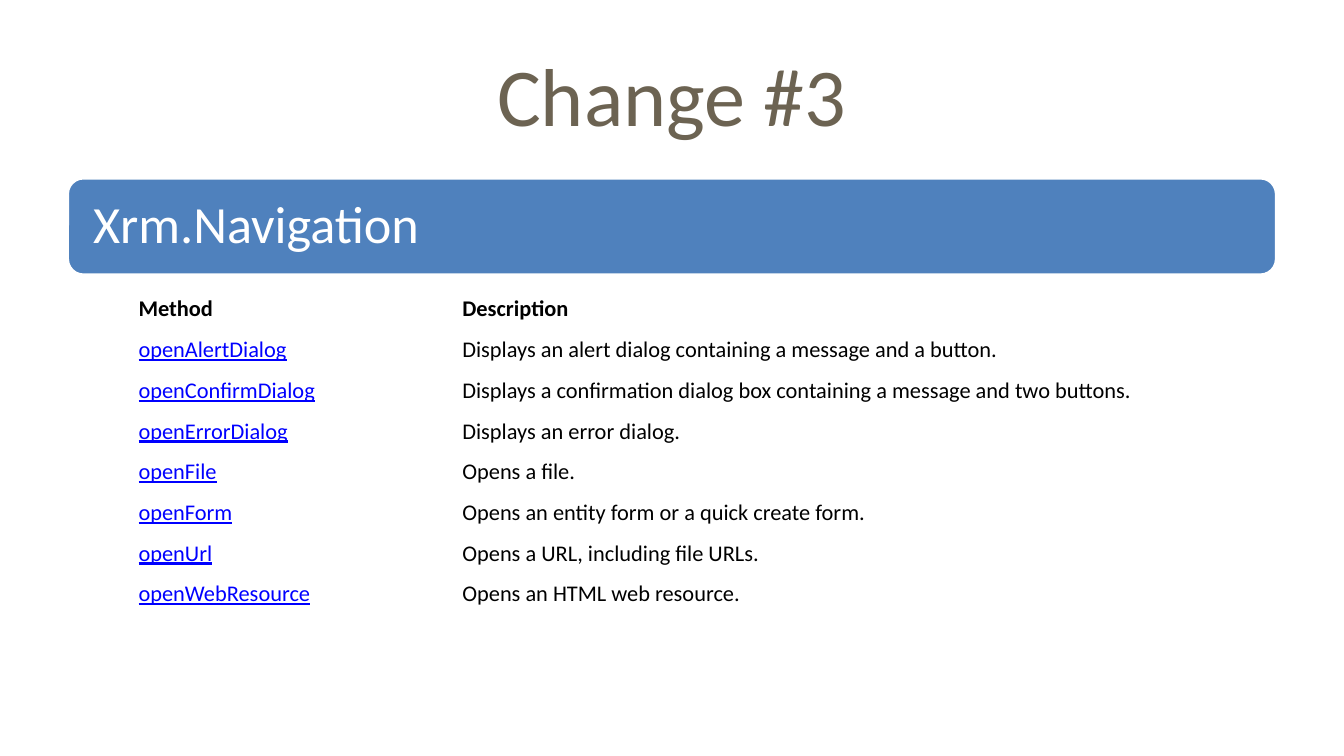
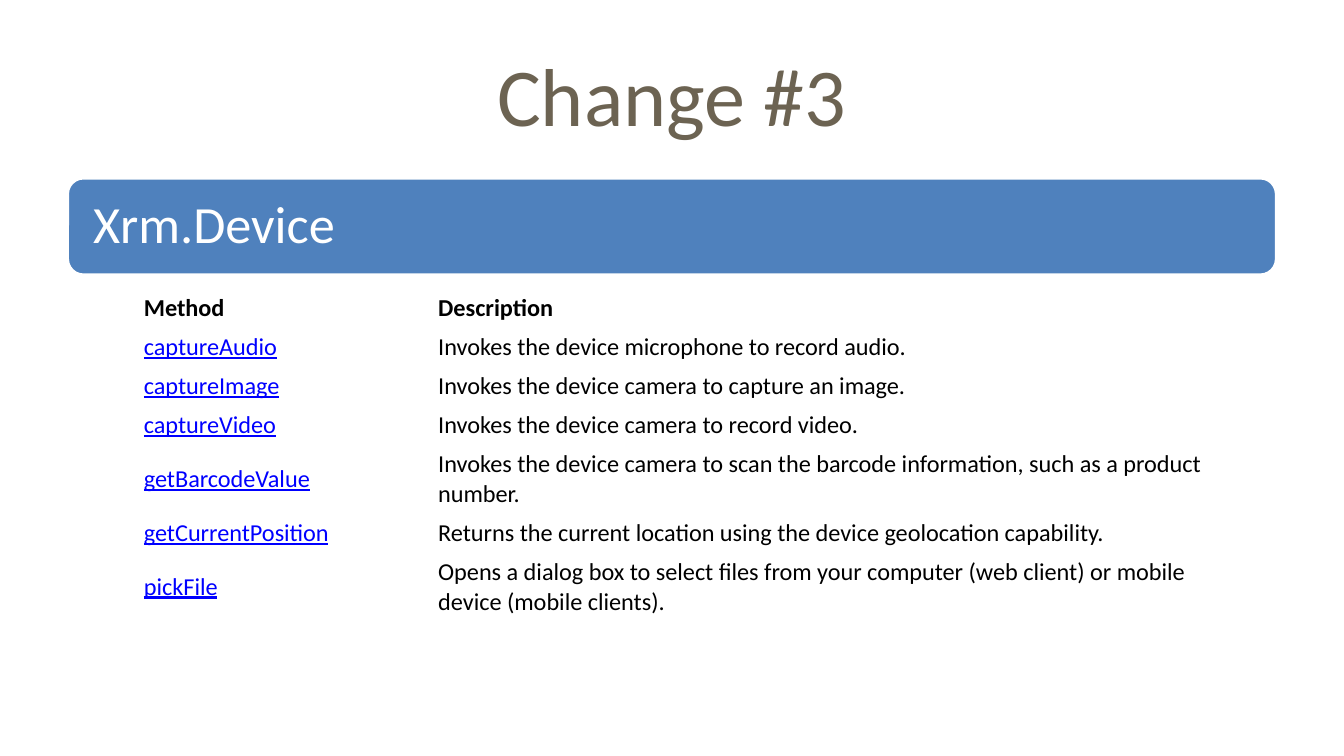
import pptx
import pptx.util
import pptx.dml.color
import pptx.enum.shapes
import pptx.enum.text

Pt = pptx.util.Pt
RGB = pptx.dml.color.RGBColor.from_string
ALIGN = pptx.enum.text.PP_ALIGN
MIDDLE = pptx.enum.text.MSO_ANCHOR.MIDDLE

SLIDES = [
    {
        "title": "Change #3",
        "band": "Xrm.Navigation",
        "table": {"left": 67, "cols": (173.5, 413.3), "size": 12, "row": 21.8,
                  "inset": (7.2, 3.6), "tall": {}},
        "methods": [
            ("openAlertDialog", "Displays an alert dialog containing a message and a button."),
            ("openConfirmDialog", "Displays a confirmation dialog box containing a message and two buttons."),
            ("openErrorDialog", "Displays an error dialog."),
            ("openFile", "Opens a file."),
            ("openForm", "Opens an entity form or a quick create form."),
            ("openUrl", "Opens a URL, including file URLs."),
            ("openWebResource", "Opens an HTML web resource."),
        ],
    },
    {
        "title": "Change #3",
        "band": "Xrm.Device",
        "table": {"left": 72, "cols": (157.7, 436.3), "size": 13, "row": 20.9,
                  "inset": (5.1, 2.5), "tall": {"getBarcodeValue": 36.8, "pickFile": 36.8}},
        "methods": [
            ("captureAudio", "Invokes the device microphone to record audio."),
            ("captureImage", "Invokes the device camera to capture an image."),
            ("captureVideo", "Invokes the device camera to record video."),
            ("getBarcodeValue", "Invokes the device camera to scan the barcode information, such as a product number."),
            ("getCurrentPosition", "Returns the current location using the device geolocation capability."),
            ("pickFile", "Opens a dialog box to select files from your computer (web client) or mobile device (mobile clients)."),
        ],
    },
]
HEADER = ("Method", "Description")

THEME = {
    "font": "Calibri",
    "title": "6C6352", "band": "4F81BD", "white": "FFFFFF", "text": "000000", "link": "0000FF",
    "title_size": 44, "band_size": 28,
}
WIDTH, HEIGHT, MARGIN = 720, 405, 36
TITLE_TOP, TITLE_HEIGHT = 16.5, 67.5
BAND_TOP, BAND_HEIGHT, BAND_INSET = 95.2, 52.3, 11.4
TABLE_TOP = 154.8


def write(tf, text, size, color, align=ALIGN.LEFT, spacing=1.0, **style):
    p = tf.paragraphs[0]
    p.alignment, p.line_spacing = align, spacing
    r = p.add_run()
    r.text = text
    for name, value in {"name": THEME["font"], "size": Pt(size), **style}.items():
        setattr(r.font, name, value)
    r.font.color.rgb = RGB(THEME[color])


def add_title(s, text):
    sp = s.shapes.add_textbox(Pt(MARGIN), Pt(TITLE_TOP), Pt(WIDTH - 2 * MARGIN), Pt(TITLE_HEIGHT))
    tf = sp.text_frame
    tf.word_wrap, tf.vertical_anchor = True, MIDDLE
    write(tf, text, THEME["title_size"], "title", ALIGN.CENTER)


def add_band(s, text):
    sp = s.shapes.add_shape(pptx.enum.shapes.MSO_SHAPE.ROUNDED_RECTANGLE,
                            Pt(MARGIN), Pt(BAND_TOP), Pt(WIDTH - 2 * MARGIN), Pt(BAND_HEIGHT))
    sp.shadow.inherit = False
    sp.fill.solid()
    sp.fill.fore_color.rgb = RGB(THEME["band"])
    sp.line.color.rgb = RGB(THEME["white"])
    sp.line.width = Pt(2)
    tf = sp.text_frame
    tf.word_wrap, tf.vertical_anchor = True, MIDDLE
    tf.margin_left = tf.margin_right = Pt(BAND_INSET)
    write(tf, text, THEME["band_size"], "white", spacing=0.9)


def add_methods(s, methods, left, cols, size, row, inset, tall):
    rows = [HEADER] + methods
    heights = [tall.get(method, row) for method, _ in rows]
    table = s.shapes.add_table(len(rows), len(cols), Pt(left), Pt(TABLE_TOP),
                               Pt(sum(cols)), Pt(sum(heights))).table
    table.first_row = table.horz_banding = False
    for column, width in zip(table.columns, cols):
        column.width = Pt(width)
    for i, (texts, height) in enumerate(zip(rows, heights)):
        table.rows[i].height = Pt(height)
        for j, text in enumerate(texts):
            cell = table.cell(i, j)
            cell.fill.background()
            cell.vertical_anchor = MIDDLE
            cell.margin_left = cell.margin_right = Pt(inset[0])
            cell.margin_top = cell.margin_bottom = Pt(inset[1])
            is_link = i > 0 and j == 0
            write(cell.text_frame, text, size, "link" if is_link else "text",
                  bold=i == 0, underline=is_link)


def main():
    prs = pptx.Presentation()
    prs.slide_width, prs.slide_height = Pt(WIDTH), Pt(HEIGHT)
    for content in SLIDES:
        s = prs.slides.add_slide(prs.slide_layouts[6])
        add_title(s, content["title"])
        add_band(s, content["band"])
        add_methods(s, content["methods"], **content["table"])
    prs.save("out.pptx")


if __name__ == "__main__":
    main()
